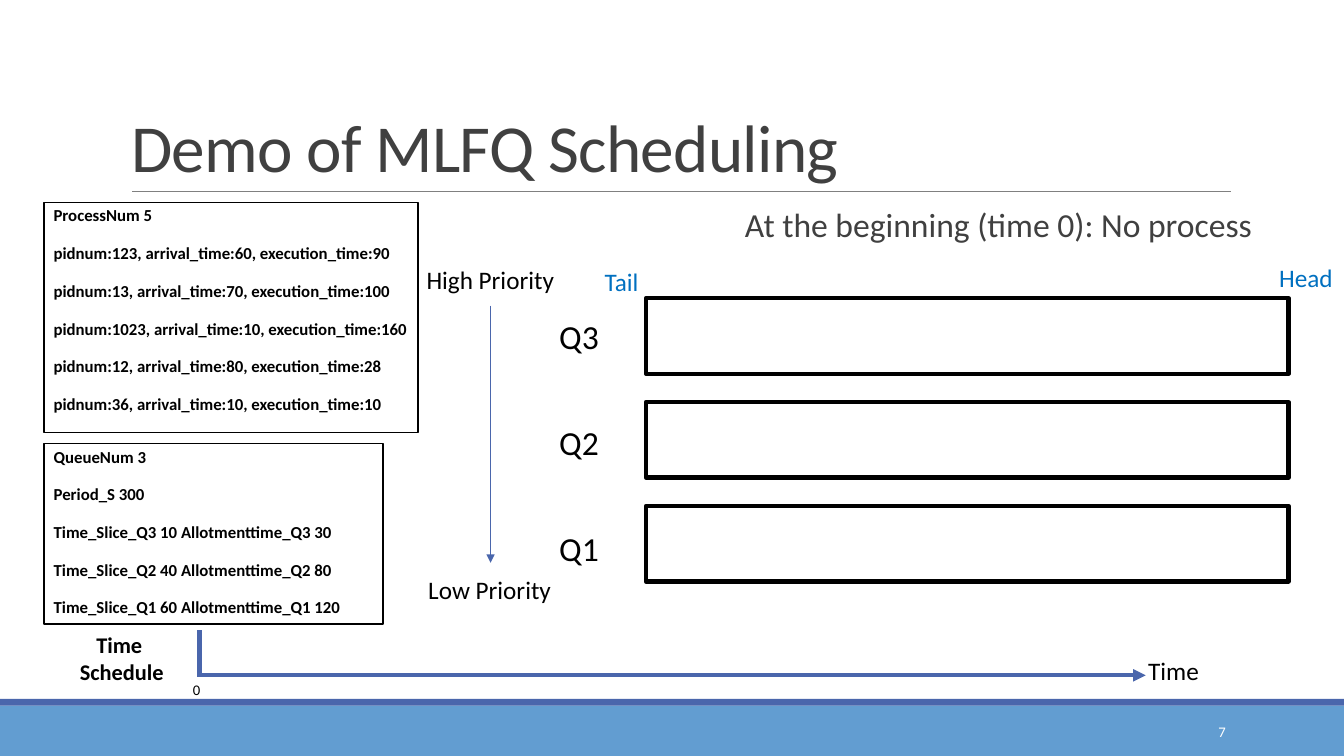
"""Build the slide on multi-level feedback queue scheduling."""
from dataclasses import dataclass

from lxml.etree import SubElement
from pptx import Presentation
from pptx.dml.color import RGBColor
from pptx.enum.shapes import MSO_CONNECTOR, MSO_SHAPE
from pptx.enum.text import MSO_ANCHOR, MSO_AUTO_SIZE, PP_ALIGN
from pptx.oxml.ns import qn
from pptx.util import Inches, Pt

COLS, ROWS = 160, 90
WIDTH, HEIGHT = Inches(40 / 3), Inches(7.5)


@dataclass(frozen=True)
class Theme:
    """Colours, font and type sizes of the slide."""
    font: str = "Calibri"
    black: str = "000000"
    white: str = "FFFFFF"
    grey: str = "404040"
    rule: str = "808080"
    accent: str = "4A66AC"
    band: str = "629DD1"
    ends: str = "0070C0"
    title: float = 48
    large: float = 24
    medium: float = 18
    axis: float = 16
    listing: float = 12
    small: float = 10.5


@dataclass(frozen=True)
class Box:
    """A rectangle in grid columns and rows."""
    left: float
    top: float
    width: float
    height: float

    def emu(self) -> tuple[int, int, int, int]:
        """Return left, top, width and height in EMU."""
        return col(self.left), row(self.top), col(self.width), row(self.height)


@dataclass(frozen=True)
class Label:
    """A one-piece text and its format."""
    text: str
    box: Box
    size: float
    color: str = Theme.black
    bold: bool = False
    align: PP_ALIGN = PP_ALIGN.LEFT


@dataclass(frozen=True)
class Line:
    """A straight line in grid units, with an optional arrowhead."""
    x1: float
    y1: float
    x2: float
    y2: float
    width: float
    color: str = Theme.accent
    arrow: bool = False


@dataclass(frozen=True)
class Listing:
    """A framed list of settings."""
    box: Box
    lines: tuple[str, ...]


T = Theme()


def col(n: float) -> int:
    """Convert grid columns to EMU."""
    return round(WIDTH * n / COLS)


def row(n: float) -> int:
    """Convert grid rows to EMU."""
    return round(HEIGHT * n / ROWS)


def write_text(s, text: str, *, size: float, color: str = T.black, bold: bool = False,
               align: PP_ALIGN = PP_ALIGN.LEFT, anchor: MSO_ANCHOR = MSO_ANCHOR.TOP,
               wrap: bool = True, spacing: float = 1, before: float = 0,
               after: float = 0, tracking: float = 0) -> None:
    """Fill a shape with one paragraph per line of text."""
    tf = s.text_frame
    tf.word_wrap = wrap
    tf.auto_size = MSO_AUTO_SIZE.NONE if wrap else MSO_AUTO_SIZE.SHAPE_TO_FIT_TEXT
    tf.vertical_anchor = anchor
    for i, line in enumerate(text.split("\n")):
        p = tf.add_paragraph() if i else tf.paragraphs[0]
        p.alignment, p.line_spacing = align, spacing
        p.space_before, p.space_after = Pt(before), Pt(after)
        r = p.add_run()
        r.text = line
        r.font.name, r.font.size, r.font.bold = T.font, Pt(size), bold
        r.font.color.rgb = RGBColor.from_string(color)
        if tracking:
            r._r.get_or_add_rPr().set("spc", str(round(tracking * 100)))


def add_box(sp, box: Box, fill: str, line_width: float = 0):
    """Draw a rectangle, outlined in black if a line width is given."""
    s = sp.add_shape(MSO_SHAPE.RECTANGLE, *box.emu())
    s.shadow.inherit = False
    s.fill.solid()
    s.fill.fore_color.rgb = RGBColor.from_string(fill)
    if line_width:
        s.line.color.rgb = RGBColor.from_string(T.black)
        s.line.width = Pt(line_width)
    else:
        s.line.fill.background()
    return s


def add_line(sp, line: Line) -> None:
    """Draw a straight connector."""
    s = sp.add_connector(MSO_CONNECTOR.STRAIGHT, col(line.x1), row(line.y1),
                         col(line.x2), row(line.y2))
    s.line.color.rgb = RGBColor.from_string(line.color)
    s.line.width = Pt(line.width)
    if line.arrow:
        SubElement(s.line._get_or_add_ln(), qn("a:tailEnd"), type="triangle")
    SubElement(s._element.spPr, qn("a:effectLst"))


def add_label(sp, label: Label) -> None:
    """Draw an unwrapped text box."""
    s = sp.add_textbox(*label.box.emu())
    write_text(s, label.text, size=label.size, color=label.color, bold=label.bold,
               align=label.align, wrap=False)


def add_listing(sp, listing: Listing) -> None:
    """Draw a framed list of settings."""
    s = add_box(sp, listing.box, T.white, 1.25)
    write_text(s, "\n".join(listing.lines), size=T.listing, bold=True,
               spacing=0.9, before=12, after=2)


QUEUES = ("Q3", "Q2", "Q1")
LISTINGS = (
    Listing(Box(5.2, 24.1, 44.6, 27.4), (
        "ProcessNum 5",
        "pidnum:123, arrival_time:60, execution_time:90",
        "pidnum:13, arrival_time:70, execution_time:100",
        "pidnum:1023, arrival_time:10, execution_time:160",
        "pidnum:12, arrival_time:80, execution_time:28",
        "pidnum:36, arrival_time:10, execution_time:10")),
    Listing(Box(5.2, 52.8, 40.4, 21.5), (
        "QueueNum 3",
        "Period_S 300",
        "Time_Slice_Q3 10 Allotmenttime_Q3 30",
        "Time_Slice_Q2 40 Allotmenttime_Q2 80",
        "Time_Slice_Q1 60 Allotmenttime_Q1 120")),
)
LINES = (
    Line(15.75, 22.8, 146.5, 22.8, 0.5, T.rule),
    Line(58.4, 36.4, 58.4, 67, 1, arrow=True),
    Line(23.5, 80.4, 136.4, 80.4, 3, arrow=True),
    Line(23.75, 75, 23.75, 80.4, 3),
)
LABELS = (
    Label("High Priority", Box(49.6, 30.9, 17.8, 4.8), T.medium),
    Label("Low Priority", Box(49.8, 67.8, 17.2, 4.8), T.medium),
    Label("Tail", Box(70.8, 31.1, 6.5, 4.8), T.medium, T.ends),
    Label("Head", Box(151.1, 30.7, 8.9, 4.8), T.medium, T.ends),
    Label("Time \nSchedule", Box(8.2, 74.6, 12.6, 7.7), T.axis, bold=True,
          align=PP_ALIGN.CENTER),
    Label("Time", Box(135.5, 77.4, 8.5, 4.8), T.medium),
    Label("0", Box(21.8, 80.5, 3.4, 3.5), T.small),
)


def main() -> None:
    """Build and save the slide."""
    prs = Presentation()
    prs.slide_width, prs.slide_height = WIDTH, HEIGHT
    slide = prs.slides.add_slide(prs.slide_layouts[5])
    sp = slide.shapes

    add_box(sp, Box(0, 84, COLS, 6), T.band)
    add_box(sp, Box(0, 83.2, COLS, 0.8), T.accent)

    title = sp.title
    title.left, title.top, title.width, title.height = Box(14.4, 3.7, 132, 19.1).emu()
    write_text(title, "Demo of MLFQ Scheduling", size=T.title, color=T.grey,
               anchor=MSO_ANCHOR.BOTTOM, spacing=0.85, tracking=-0.5)
    state = sp.add_textbox(*Box(87.5, 24.2, 68, 6).emu())
    write_text(state, "At the beginning (time 0): No process", size=T.large,
               color=T.grey, spacing=0.9)
    number = sp.add_textbox(*Box(130, 84.7, 17.1, 4.8).emu())
    write_text(number, "7", size=T.small, color=T.white, align=PP_ALIGN.RIGHT,
               anchor=MSO_ANCHOR.MIDDLE)

    for i, name in enumerate(QUEUES):
        add_box(sp, Box(76.9, 35.5 + 12.36 * i, 76.5, 9), T.white, 3)
        add_label(sp, Label(name, Box(65.4, 37 + 12.65 * i, 7.2, 6), T.large))
    for listing in LISTINGS:
        add_listing(sp, listing)
    for line in LINES:
        add_line(sp, line)
    for label in LABELS:
        add_label(sp, label)
    prs.save("out.pptx")


if __name__ == "__main__":
    main()
